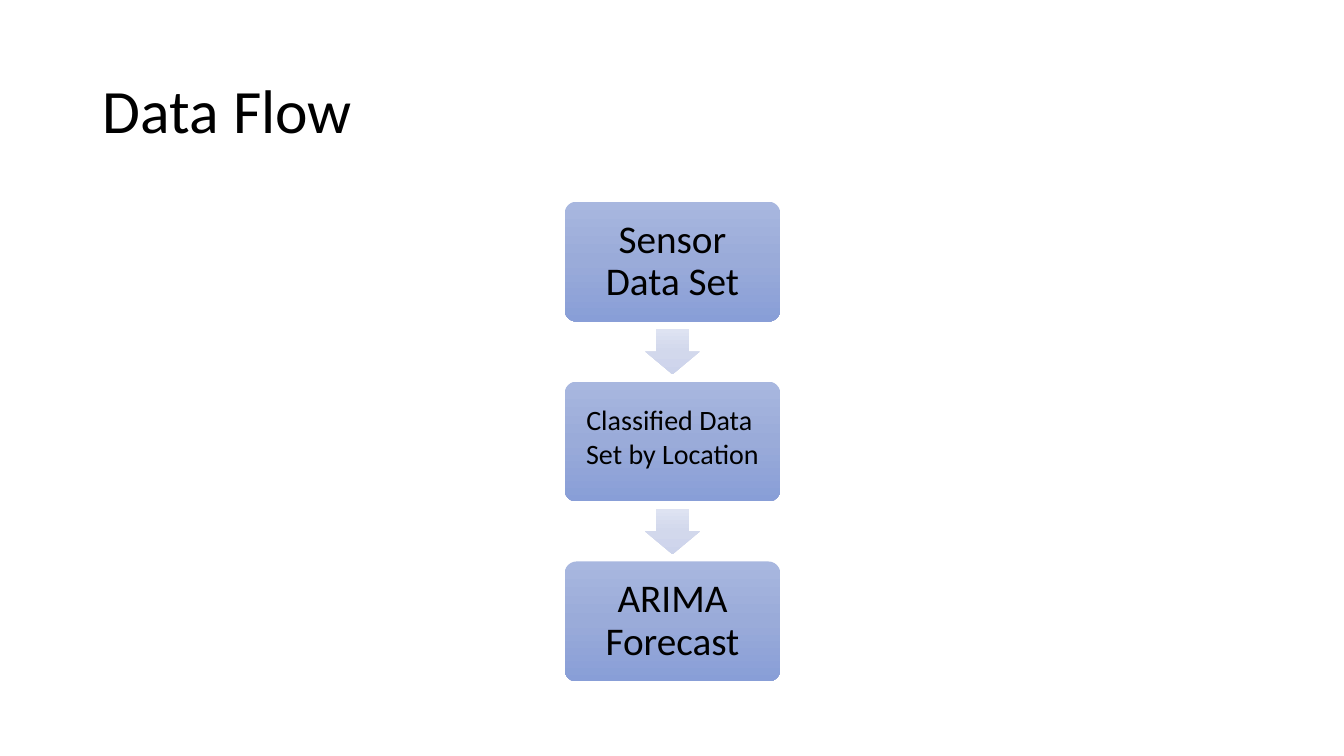
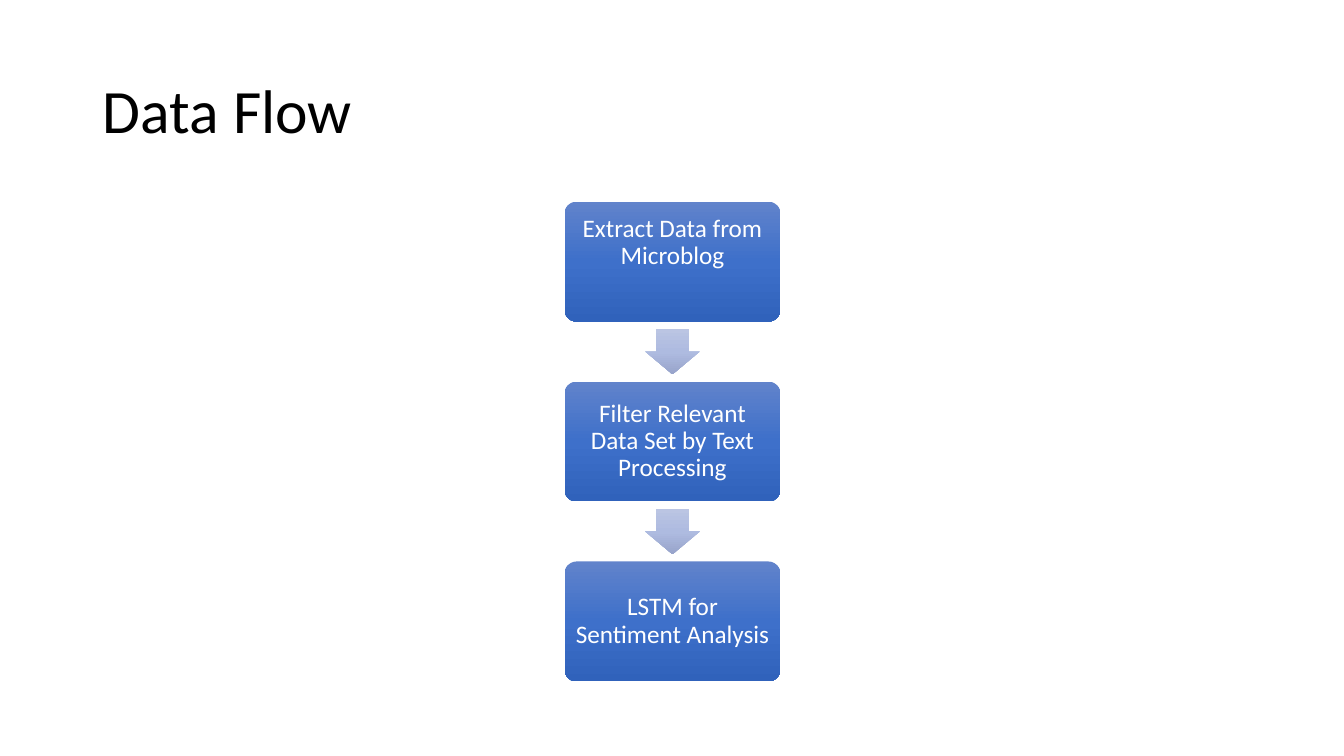
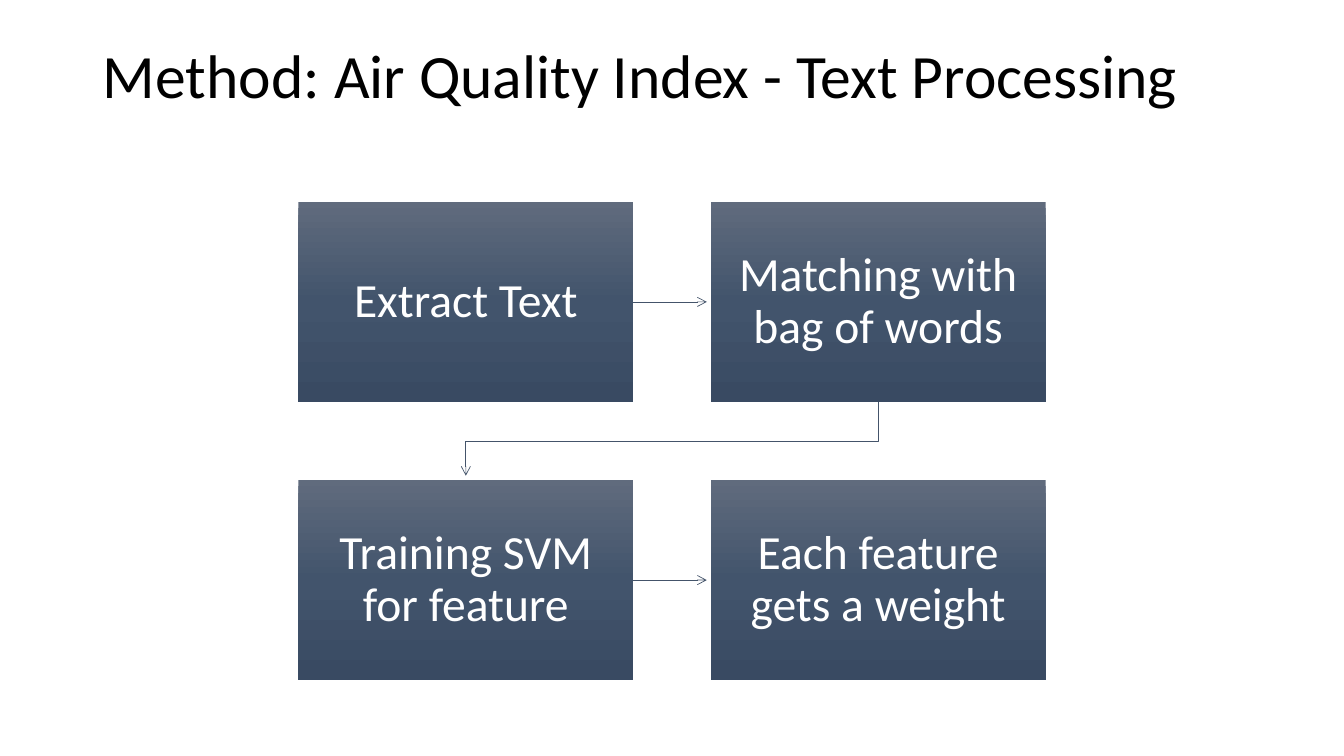
from copy import deepcopy

from lxml import etree
from pptx import Presentation
from pptx.dml.color import RGBColor
from pptx.enum.shapes import MSO_CONNECTOR, MSO_SHAPE
from pptx.enum.text import MSO_ANCHOR, MSO_AUTO_SIZE, PP_ALIGN
from pptx.oxml.ns import qn
from pptx.util import Inches, Pt

ROUNDED, RECTANGLE, DOWN_ARROW = (
    MSO_SHAPE.ROUNDED_RECTANGLE, MSO_SHAPE.RECTANGLE, MSO_SHAPE.DOWN_ARROW)
TOP, MIDDLE = MSO_ANCHOR.TOP, MSO_ANCHOR.MIDDLE
LEFT, CENTER = PP_ALIGN.LEFT, PP_ALIGN.CENTER
FONT, BLACK, WHITE, LINK_COLOR = "Calibri", "000000", "FFFFFF", "44546A"


def write(frame, lines, size, color, align=CENTER, spacing=0.9, anchor=MIDDLE):
    frame.word_wrap = True
    frame.auto_size = MSO_AUTO_SIZE.NONE
    frame.vertical_anchor = anchor
    for index, line in enumerate(lines):
        para = frame.add_paragraph() if index else frame.paragraphs[0]
        para.alignment = align
        para.line_spacing = spacing
        span = para.add_run()
        span.text = line
        span.font.name = FONT
        span.font.size = Pt(size)
        span.font.color.rgb = RGBColor.from_string(color)


def add_block(page, kind, left, top, width, height, gradient):
    block = page.shapes.add_shape(
        kind, Inches(left), Inches(top), Inches(width), Inches(height))
    block.shadow.inherit = False
    block.line.fill.background()
    block.fill.gradient()
    block.fill.gradient_angle = 270
    # The default gradient has two stops; a third one is needed
    stop_list = block._element.spPr.find(".//" + qn("a:gsLst"))
    stop_list.insert(1, deepcopy(stop_list[0]))
    for stop, position, color in zip(block.fill.gradient_stops, (0, 0.5, 1), gradient):
        stop.position = position
        stop.color.rgb = RGBColor.from_string(color)
    return block


deck = Presentation()
deck.slide_width, deck.slide_height = Inches(13.33), Inches(7.5)

# Shared title position, set on the layout
layout = deck.slide_layouts[5]
layout_title = layout.placeholders[0]
layout_title.left, layout_title.top = Inches(0.92), Inches(0.4)
layout_title.width, layout_title.height = Inches(11.5), Inches(1.45)

pages = []
for heading, anchor in (
    ("Data Flow", MIDDLE),
    ("Data Flow", MIDDLE),
    ("Method: Air Quality Index - Text Processing", TOP),
):
    page = deck.slides.add_slide(layout)
    write(page.shapes.title.text_frame, [heading], 44, BLACK, LEFT, anchor=anchor)
    pages.append(page)

# Vertical flows: each step has lines, size, line spacing and extra bottom inset
flows = [
    (
        ("A8B7DF", "9AABD9", "889ED7"), ("DEE3F2", "D2D8EC", "CCD3EB"), BLACK, 0.12,
        [
            (["Sensor Data Set"], 28, 0.9, 0),
            (["Classified Data ", "Set by Location"], 20, 1.0, 0.1),
            (["ARIMA Forecast"], 28, 0.9, 0),
        ],
    ),
    (
        ("6183CB", "3E70CA", "3062BB"), ("BBC5E3", "AEBBE0", "98A4CB"), WHITE, 0.07,
        [
            (["Extract Data from Microblog"], 18, 0.9, 0.37),
            (["Filter Relevant Data Set by Text Processing"], 18, 0.9, 0),
            (["LSTM for Sentiment Analysis"], 18, 0.9, 0),
        ],
    ),
]
step_left, step_top, step_width, step_height = 5.6, 2, 2.14, 1.19
step_gap = step_height / 2
arrow_width, arrow_height = 0.54, 0.45

for page, (step_fill, arrow_fill, color, inset, steps) in zip(pages, flows):
    for index, (lines, size, spacing, extra) in enumerate(steps):
        top = step_top + index * (step_height + step_gap)
        if index:
            arrow = add_block(
                page, DOWN_ARROW, step_left + (step_width - arrow_width) / 2,
                top - (step_gap + arrow_height) / 2, arrow_width, arrow_height, arrow_fill)
            arrow.adjustments[0], arrow.adjustments[1] = 0.6, 0.5
        step = add_block(
            page, ROUNDED, step_left, top, step_width, step_height, step_fill)
        step.adjustments[0] = 0.1
        frame = step.text_frame
        frame.margin_left = frame.margin_right = frame.margin_top = Inches(inset)
        frame.margin_bottom = Inches(inset + extra)
        write(frame, lines, size, color, spacing=spacing)

# Two by two grid of text processing stages
page = pages[2]
stage_left, stage_top, stage_width, stage_height, stage_gap = 2.96, 2, 3.32, 1.99, 0.77
tip_gap = Inches(0.04)
stages = []
for index, label in enumerate((
    "Extract Text", "Matching with bag of words",
    "Training SVM for feature", "Each feature gets a weight",
)):
    row, column = divmod(index, 2)
    stage = add_block(
        page, RECTANGLE, stage_left + column * (stage_width + stage_gap),
        stage_top + row * (stage_height + stage_gap), stage_width, stage_height,
        ("606B7D", "42546C", "394A62"))
    frame = stage.text_frame
    frame.margin_left = frame.margin_right = Inches(0.26)
    frame.margin_top = frame.margin_bottom = Inches(0.26)
    write(frame, [label], 34, WHITE)
    stages.append(stage)

# Straight arrows along each row
links = []
for source, target in (stages[:2], stages[2:]):
    middle = source.top + source.height // 2
    link = page.shapes.add_connector(
        MSO_CONNECTOR.STRAIGHT, source.left + source.width, middle,
        target.left - tip_gap, middle)
    link.begin_connect(source, 3)
    links.append(link)

# Bent arrow from the end of the first row to the start of the second
source, target = stages[1], stages[2]
start_x, start_y = source.left + source.width // 2, source.top + source.height
end_x = target.left + target.width // 2
bend_y = (start_y + target.top) // 2
builder = page.shapes.build_freeform(start_x, start_y)
builder.add_line_segments(
    [(start_x, bend_y), (end_x, bend_y), (end_x, target.top - tip_gap)], close=False)
bent_link = builder.convert_to_shape()
bent_link.fill.background()
links.append(bent_link)

for link in links:
    link.line.color.rgb = RGBColor.from_string(LINK_COLOR)
    link.line.width = Pt(0.5)
    properties = link._element.spPr
    etree.SubElement(properties.find(qn("a:ln")), qn("a:tailEnd"), type="arrow")
    etree.SubElement(properties, qn("a:effectLst"))

deck.save("out.pptx")
